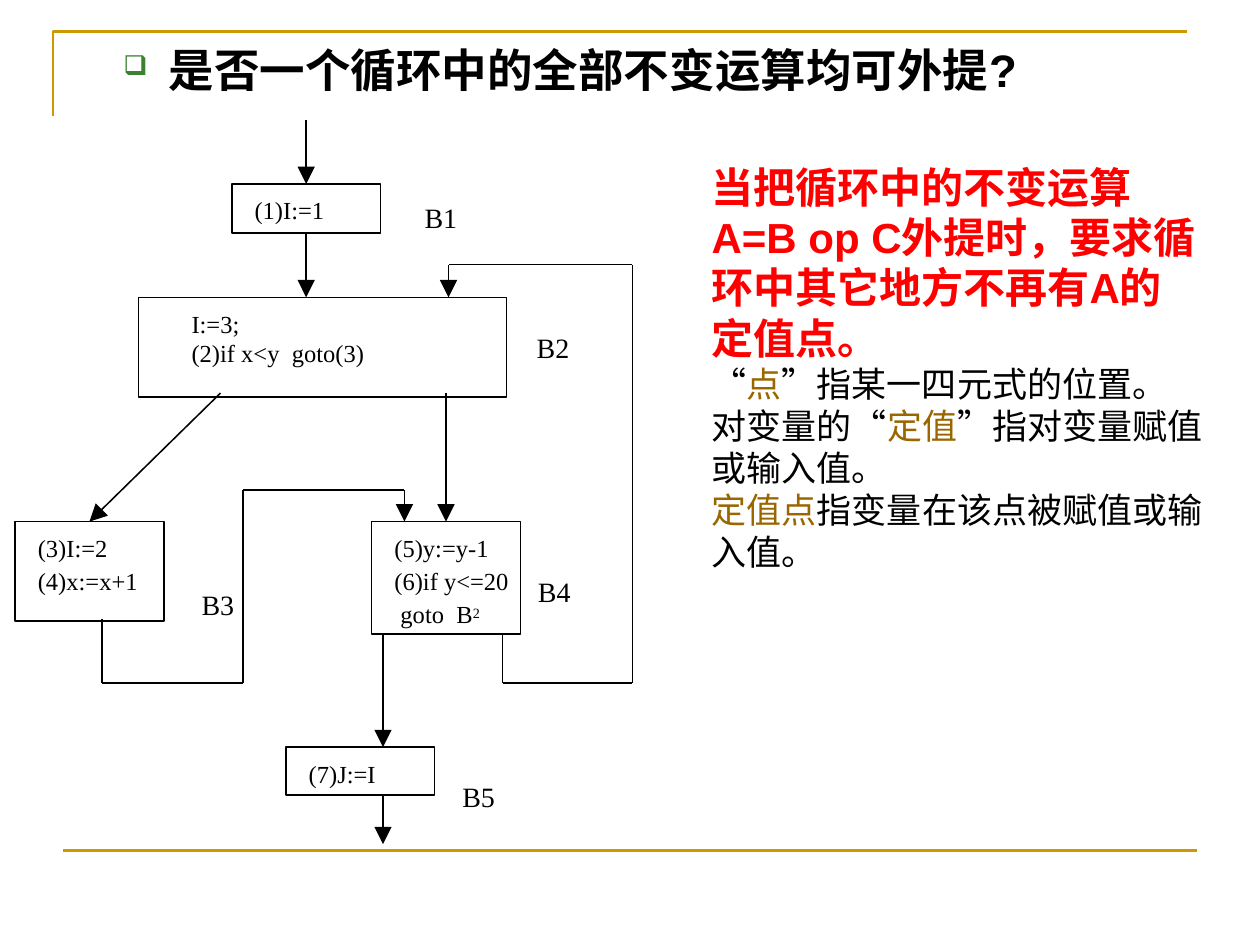
import itertools

import pptx
import pptx.util
import pptx.dml.color
import pptx.enum.shapes
import pptx.enum.text
import pptx.oxml.ns
from lxml import etree

Inches = pptx.util.Inches
Pt = pptx.util.Pt
RGBColor = pptx.dml.color.RGBColor
qn = pptx.oxml.ns.qn

BLACK = RGBColor(0x00, 0x00, 0x00)
WHITE = RGBColor(0xFF, 0xFF, 0xFF)
RED = RGBColor(0xFF, 0x00, 0x00)
BROWN = RGBColor(0x99, 0x66, 0x00)
GOLD = RGBColor(0xCC, 0x99, 0x00)
BULLET_GREEN = "3B812F"
SERIF = "Times New Roman"
TOP, BOTTOM = 0, 2


def write(para, text, size=14, color=BLACK, bold=False, font=SERIF, baseline=None):
    span = para.add_run()
    span.text = text
    span.font.size = Pt(size)
    span.font.color.rgb = color
    span.font.bold = bold
    span.font.name = font
    if baseline:
        span._r.get_or_add_rPr().set("baseline", str(baseline))


def set_frame(frame, left=0.0, top=0.0, right=0.0, bottom=0.0, wrap=True):
    frame.margin_left, frame.margin_top = Inches(left), Inches(top)
    frame.margin_right, frame.margin_bottom = Inches(right), Inches(bottom)
    frame.word_wrap = wrap
    frame.auto_size = pptx.enum.text.MSO_AUTO_SIZE.NONE
    frame.vertical_anchor = pptx.enum.text.MSO_ANCHOR.TOP


def paragraphs(frame, count):
    return [frame.paragraphs[0]] + [frame.add_paragraph() for _ in range(count - 1)]


def add_heading(page, text):
    title = page.shapes.title
    title.left, title.top = Inches(0.51), Inches(0.28)
    title.width, title.height = Inches(9.06), Inches(0.71)
    set_frame(title.text_frame, 0.1, 0.05, 0.1, 0.05)
    para = title.text_frame.paragraphs[0]
    para.alignment = pptx.enum.text.PP_ALIGN.LEFT
    props = para._p.get_or_add_pPr()
    props.set("marL", str(Inches(0.73)))
    props.set("indent", str(Inches(-0.36)))
    color = etree.SubElement(props, qn("a:buClr"))
    etree.SubElement(color, qn("a:srgbClr"), val=BULLET_GREEN)
    etree.SubElement(props, qn("a:buSzPct"), val="60000")
    etree.SubElement(props, qn("a:buChar"), char="❑")
    write(para, text, size=26, bold=True, font="Arial")


def add_explanation(page, rows):
    box = page.shapes.add_textbox(Inches(5.55), Inches(1.23), Inches(4.1), Inches(3.7))
    set_frame(box.text_frame, 0.1, 0.05, 0.1, 0.05)
    for para, row in zip(paragraphs(box.text_frame, len(rows)), rows):
        for text, style in row:
            write(para, text, font="Arial", **style)


def add_label(page, text, left, top):
    box = page.shapes.add_textbox(Inches(left), Inches(top), Inches(0.26), Inches(0.27))
    set_frame(box.text_frame, wrap=False)
    write(box.text_frame.paragraphs[0], text, size=16)


def add_block(page, lines, left, top, width, height, inset=0.18, gap=2):
    block = page.shapes.add_shape(
        pptx.enum.shapes.MSO_SHAPE.RECTANGLE,
        Inches(left), Inches(top), Inches(width), Inches(height))
    block.shadow.inherit = False
    block.fill.solid()
    block.fill.fore_color.rgb = WHITE
    block.line.color.rgb = BLACK
    block.line.width = Pt(0.88)
    set_frame(block.text_frame, left=inset, top=0.09, wrap=False)
    for index, para in enumerate(paragraphs(block.text_frame, len(lines))):
        para.alignment = pptx.enum.text.PP_ALIGN.LEFT
        if index:
            para.space_before = Pt(gap)
        write(para, lines[index])
    return block


def add_line(page, start, end, color=BLACK, width=0.88, arrow=False):
    line = page.shapes.add_connector(
        pptx.enum.shapes.MSO_CONNECTOR.STRAIGHT,
        *(Inches(value) for value in start + end))
    line.line.color.rgb = color
    line.line.width = Pt(width)
    if arrow:
        etree.SubElement(line.line._get_or_add_ln(), qn("a:tailEnd"),
                         type="triangle", w="lg", len="lg")
    etree.SubElement(line._element.spPr, qn("a:effectLst"))
    return line


def add_route(page, points):
    for index, (start, end) in enumerate(itertools.pairwise(points), 2):
        line = add_line(page, start, end, arrow=index == len(points))
    return line


def add_corner(page):
    builder = page.shapes.build_freeform(Inches(0.42), Inches(0.92))
    builder.add_line_segments(
        [(Inches(0.42), Inches(0.25)), (Inches(9.42), Inches(0.25))], close=False)
    corner = builder.convert_to_shape()
    corner.shadow.inherit = False
    corner.fill.background()
    corner.line.color.rgb = GOLD
    corner.line.width = Pt(1.5)


def add_flow(page):
    start = add_block(page, ["(1)I:=1"], 1.84, 1.46, 1.18, 0.39)
    add_block(page, ["I:=3;", "(2)if x<y  goto(3)"], 1.1, 2.36, 2.92, 0.79,
              inset=0.42, gap=0)
    left_branch = add_block(page, ["(3)I:=2", "(4)x:=x+1"], 0.12, 4.14, 1.18, 0.79)
    right_branch = add_block(page, ["(5)y:=y-1", "(6)if y<=20", " goto  B"],
                             2.95, 4.14, 1.18, 0.89)
    write(right_branch.text_frame.paragraphs[-1], "2", baseline=20000)
    add_block(page, ["(7)J:=I"], 2.27, 5.93, 1.18, 0.38)

    for text, left, top in [("B1", 3.37, 1.59), ("B2", 4.26, 2.62), ("B3", 1.6, 4.66),
                            ("B4", 4.27, 4.56), ("B5", 3.67, 6.19)]:
        add_label(page, text, left, top)

    add_route(page, [(2.43, 0.95), (2.43, 1.46)]).end_connect(start, TOP)
    add_route(page, [(2.43, 1.85), (2.43, 2.36)]).begin_connect(start, BOTTOM)
    add_route(page, [(1.75, 3.12), (0.71, 4.14)]).end_connect(left_branch, TOP)
    add_route(page, [(3.54, 3.12), (3.54, 4.14)]).end_connect(right_branch, TOP)
    add_route(page, [(3.04, 5.03), (3.04, 5.93)])
    add_route(page, [(3.04, 6.31), (3.04, 6.7)])
    add_route(page, [(0.81, 4.91), (0.81, 5.42), (1.93, 5.42), (1.93, 3.89),
                     (3.21, 3.89), (3.21, 4.14)])
    add_route(page, [(3.99, 5.03), (3.99, 5.42), (5.02, 5.42), (5.02, 2.1),
                     (3.56, 2.1), (3.56, 2.36)])


def main():
    deck = pptx.Presentation()
    deck.slide_width, deck.slide_height = Inches(10), Inches(7.5)
    page = deck.slides.add_slide(deck.slide_layouts[5])
    add_corner(page)
    add_line(page, (0.5, 6.75), (9.5, 6.75), color=GOLD, width=1.5)
    add_heading(page, "是否一个循环中的全部不变运算均可外提?")
    rule = {"size": 24, "color": RED, "bold": True}
    plain = {"size": 20}
    term = {"size": 20, "color": BROWN}
    add_explanation(page, [
        [("当把循环中的不变运算A=B op C外提时，要求循环中其它地方不再有A的定值点。", rule)],
        [("“", plain), ("点", term), ("”指某一四元式的位置。", plain)],
        [("对变量的“", plain), ("定值", term), ("”指对变量赋值或输入值。", plain)],
        [("定值点", term), ("指变量在该点被赋值或输入值。", plain)],
    ])
    add_flow(page)
    deck.save("out.pptx")


if __name__ == "__main__":
    main()
